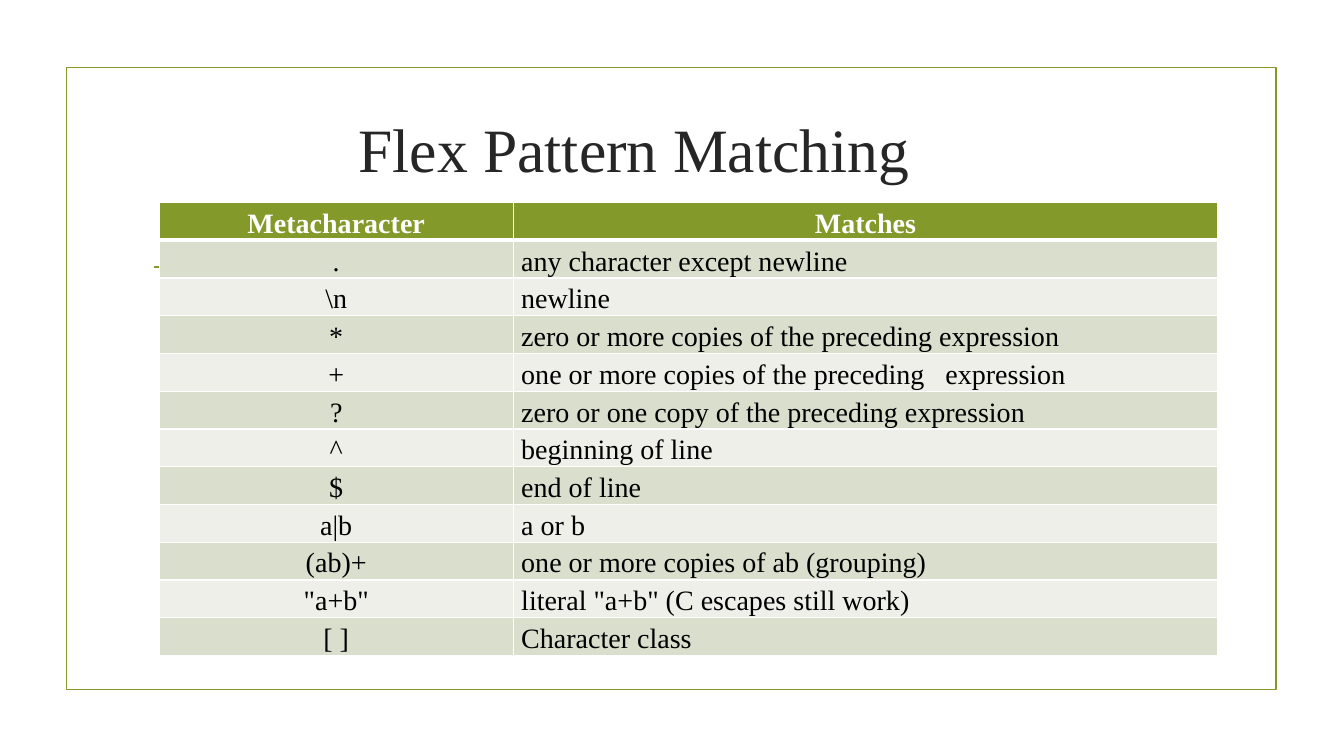
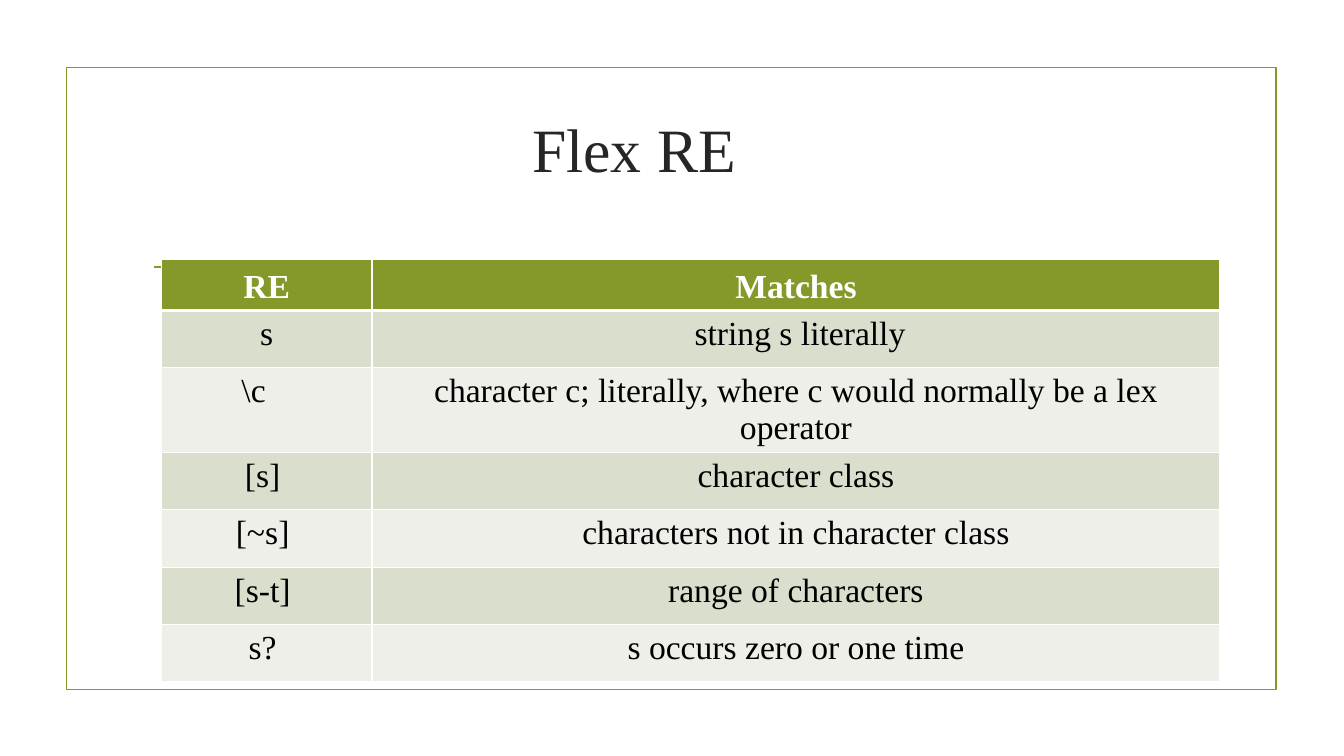
from dataclasses import dataclass

from lxml import etree
from pptx import Presentation
from pptx.dml.color import RGBColor
from pptx.enum import shapes, text
from pptx.oxml import ns
from pptx.util import Inches, Pt


@dataclass(frozen=True)
class Theme:
    font: str = "Times New Roman"
    accent: RGBColor = RGBColor.from_string("83992A")
    title: RGBColor = RGBColor.from_string("262626")
    ink: RGBColor = RGBColor.from_string("000000")
    white: RGBColor = RGBColor.from_string("FFFFFF")
    bands: tuple = (RGBColor.from_string("D9DECD"), RGBColor.from_string("EDEFE8"))
    title_size: int = 44
    rule_width: float = 1.25
    border_width: int = 1
    header_border_width: int = 3
    header_spacing: float = 1.15


@dataclass(frozen=True)
class Box:
    left: float
    top: float
    width: float
    height: float

    def inches(self):
        return [Inches(value) for value in (self.left, self.top, self.width, self.height)]


@dataclass(frozen=True)
class TableStyle:
    size: int
    columns: tuple
    header_height: float
    row_height: float
    spacing: float
    anchor: object
    alignments: tuple
    margins: tuple


THEME = Theme()
FRAME = Box(0.66, 0.67, 12, 6.17)
TITLE = Box(1.04, 0.75, 10.5, 1.43)
RULE = Box(1.53, 2.65, 10.28, 0)
CENTER = text.PP_ALIGN.CENTER
LEFT = text.PP_ALIGN.LEFT
MIDDLE = text.MSO_ANCHOR.MIDDLE
TIGHT = (0.01, 0.01, 0.01, 0.01)

COMPACT = TableStyle(20, (3.51, 6.99), 0.37, 0.37, 1.15, MIDDLE, (CENTER, LEFT),
                     (TIGHT, (0.08, 0.01, 0.01, 0.01)))
ROOMY = TableStyle(24, (2.09, 8.41), 0.51, 0.57, 1.0, text.MSO_ANCHOR.TOP, (CENTER, CENTER),
                   ((0.1, 0.05, 0.18, 0.05), (0.1, 0.05, 0.1, 0.05)))

METACHARACTERS = [
    ("Metacharacter", "Matches"),
    (".", "any character except newline"),
    ("\\n", "newline"),
    ("*", "zero or more copies of the preceding expression"),
    ("+", "one or more copies of the preceding   expression"),
    ("?", "zero or one copy of the preceding expression"),
    ("^", "beginning of line"),
    ("$", "end of line"),
    ("a|b", "a or b"),
    ("(ab)+", "one or more copies of ab (grouping)"),
    ('"a+b"', 'literal "a+b" (C escapes still work)'),
    ("[ ]", "Character class"),
]
EXPRESSIONS = [
    ("RE", "Matches"),
    ("s", "string s literally"),
    ("\\c", "character c; literally, where c would normally be a lex operator"),
    ("[s]", "character class"),
    ("[~s]", "characters not in character class"),
    ("[s-t]", "range of characters"),
    ("s?", "s occurs zero or one time"),
]
EXPRESSION_MARGINS = {
    (1, 0): (0.1, 0.05, 0.1, 0.05),
    (1, 1): (0.18, 0.05, 0.1, 0.05),
    (2, 0): (0.1, 0.05, 0.36, 0.05),
}


def draw_frame(page, box):
    frame = page.shapes.add_shape(shapes.MSO_SHAPE.RECTANGLE, *box.inches())
    frame.shadow.inherit = False
    frame.fill.background()
    frame.line.color.rgb = THEME.accent
    frame.line.width = Pt(THEME.rule_width)


def draw_rule(page, box):
    left, top, width, height = box.inches()
    rule = page.shapes.add_connector(shapes.MSO_CONNECTOR.STRAIGHT,
                                     left, top, left + width, top + height)
    rule.line.color.rgb = THEME.accent
    rule.line.width = Pt(THEME.rule_width)
    etree.SubElement(rule.element.spPr, ns.qn("a:effectLst"))


def place_title(page, box, words):
    title = page.shapes.title
    title.left, title.top, title.width, title.height = box.inches()
    title.text_frame.text = words
    title.text_frame.word_wrap = True
    title.text_frame.vertical_anchor = MIDDLE
    para = title.text_frame.paragraphs[0]
    para.alignment = CENTER
    para.font.name = THEME.font
    para.font.size = Pt(THEME.title_size)
    para.font.color.rgb = THEME.title


def set_borders(cell, widths):
    properties = cell._tc.get_or_add_tcPr()
    for index, (side, width) in enumerate(widths.items()):
        line = etree.Element(ns.qn(f"a:ln{side}"), w=str(Pt(width)))
        fill = etree.SubElement(line, ns.qn("a:solidFill"))
        etree.SubElement(fill, ns.qn("a:srgbClr"), val=str(THEME.white))
        properties.insert(index, line)


def fill_cell(cell, words, row, column, style, margins):
    header = row == 0
    cell.text = words
    cell.vertical_anchor = MIDDLE if header else style.anchor
    insets = TIGHT if header else margins.get((row, column), style.margins[column])
    (cell.margin_left, cell.margin_top,
     cell.margin_right, cell.margin_bottom) = [Inches(inset) for inset in insets]
    cell.fill.solid()
    cell.fill.fore_color.rgb = THEME.accent if header else THEME.bands[(row - 1) % 2]
    para = cell.text_frame.paragraphs[0]
    para.alignment = CENTER if header else style.alignments[column]
    para.line_spacing = THEME.header_spacing if header else style.spacing
    para.font.name = THEME.font
    para.font.size = Pt(style.size)
    para.font.bold = header
    para.font.color.rgb = THEME.white if header else THEME.ink
    widths = dict.fromkeys("LRTB", THEME.border_width)
    if header:
        widths["B"] = THEME.header_border_width
    elif row == 1:
        widths["T"] = THEME.header_border_width
    set_borders(cell, widths)


def draw_table(page, left, top, rows, style, margins):
    height = style.header_height + style.row_height * (len(rows) - 1)
    box = Box(left, top, sum(style.columns), height)
    table = page.shapes.add_table(len(rows), len(style.columns), *box.inches()).table
    for column, width in zip(table.columns, style.columns):
        column.width = Inches(width)
    for row, entries in enumerate(rows):
        table.rows[row].height = Inches(style.row_height if row else style.header_height)
        for column, words in enumerate(entries):
            fill_cell(table.cell(row, column), words, row, column, style, margins)


def add_table_page(deck, title, left, top, rows, style, margins):
    page = deck.slides.add_slide(deck.slide_layouts[5])
    draw_frame(page, FRAME)
    draw_rule(page, RULE)
    place_title(page, TITLE, title)
    draw_table(page, left, top, rows, style, margins)


def main():
    deck = Presentation()
    deck.slide_width = Inches(13.33)
    deck.slide_height = Inches(7.5)
    add_table_page(deck, "Flex Pattern Matching", 1.58, 2.01, METACHARACTERS, COMPACT, {})
    add_table_page(deck, "Flex RE", 1.6, 2.57, EXPRESSIONS, ROOMY, EXPRESSION_MARGINS)
    deck.save("out.pptx")


if __name__ == "__main__":
    main()
